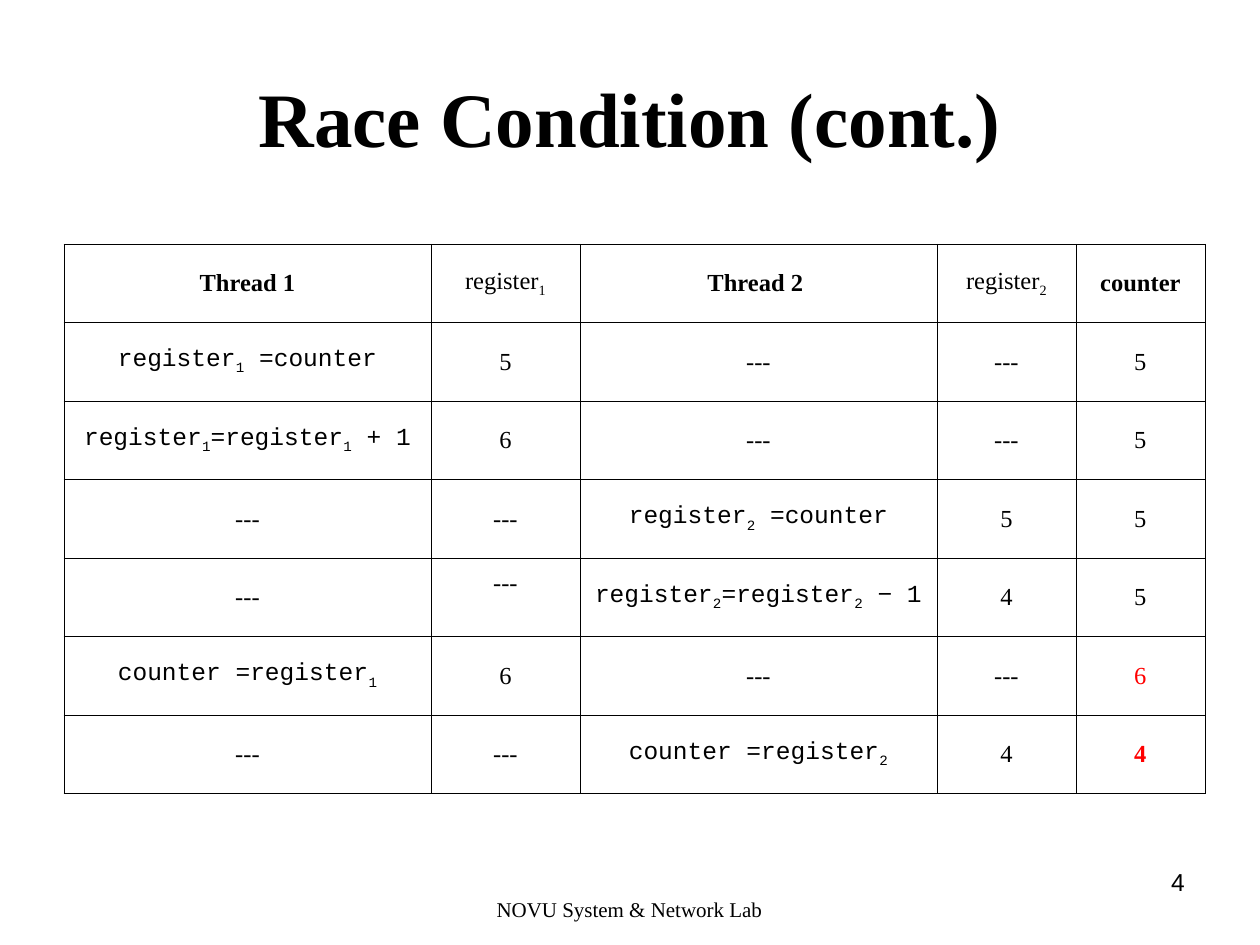
from lxml import etree
from pptx import Presentation, util as u
from pptx.dml.color import RGBColor
from pptx.enum import text as t
from pptx.oxml import ns

COLORS = {"black": "000000", "red": "FF0000"}
SERIF, MONO, SANS = "Times New Roman", "Courier New", "Arial"
EMU_PER_PX = 914400 / 126


def px(length):
    return u.Emu(round(length * EMU_PER_PX))


def write(frame, content, size, font=SERIF, bold=False, color="black",
          align=t.PP_ALIGN.CENTER, anchor=t.MSO_ANCHOR.MIDDLE):
    """Fill a text frame; the character after each underscore is a subscript."""
    frame.word_wrap = True
    frame.vertical_anchor = anchor
    para = frame.paragraphs[0]
    para.alignment = align
    first, *others = content.split("_")
    pieces = [(first, False)]
    for other in others:
        pieces += [(other[0], True), (other[1:], False)]
    for piece, subscript in pieces:
        if not piece:
            continue
        span = para.add_run()
        span.text = piece
        span.font.size = u.Pt(size)
        span.font.name = font
        span.font.bold = bold
        span.font.color.rgb = RGBColor.from_string(COLORS[color])
        if subscript:
            span._r.get_or_add_rPr().set("baseline", "-25000")


deck = Presentation()
deck.slide_width, deck.slide_height = px(1260), px(945)
page = deck.slides.add_slide(deck.slide_layouts[6])

# Footer, title and page number
top = t.MSO_ANCHOR.TOP
box = page.shapes.add_textbox(px(362), px(890), px(535), px(30))
write(box.text_frame, "NOVU System & Network Lab", 12, anchor=top)

box = page.shapes.add_textbox(px(63), px(38), px(1134), px(157))
write(box.text_frame, "Race Condition (cont.)", 44, bold=True)

box = page.shapes.add_textbox(px(903), px(861), px(294), px(66))
write(box.text_frame, "4", 14, SANS, align=t.PP_ALIGN.RIGHT, anchor=top)

# Interleaving of the two threads
NONE = "---"
rows = [
    ["Thread 1", "register_1", "Thread 2 ", "register_2", "counter"],
    ["register_1 =counter", "5", NONE, NONE, "5"],
    ["register_1=register_1 + 1", "6", NONE, NONE, "5"],
    [NONE, NONE, "register_2 =counter", "5", "5"],
    [NONE, NONE, "register_2=register_2 − 1", "4", "5"],
    ["counter =register_1", "6", NONE, NONE, "6"],
    [NONE, NONE, "counter =register_2", "4", "4"],
]
column_widths = [367, 149, 357, 139, 129]
table = page.shapes.add_table(len(rows), len(column_widths), px(64), px(244),
                              px(sum(column_widths)), px(550)).table
table.first_row = table.horz_banding = False
for column, width in zip(table.columns, column_widths):
    column.width = px(width)

for r, row in enumerate(rows):
    for c, content in enumerate(row):
        cell = table.cell(r, c)
        header = r == 0
        code = not header and "register" in content
        wrong_result = c == 4 and r >= 5
        bold = (header and "_" not in content) or (wrong_result and r == 6)
        write(cell.text_frame, content, 14, MONO if code else SERIF, bold,
              "red" if wrong_result else "black")
        cell.vertical_anchor = t.MSO_ANCHOR.MIDDLE
        properties = cell._tc.get_or_add_tcPr()
        for side in ("lnL", "lnR", "lnT", "lnB"):
            line = etree.SubElement(properties, ns.qn(f"a:{side}"), w=str(u.Pt(0.34)))
            fill = etree.SubElement(line, ns.qn("a:solidFill"))
            etree.SubElement(fill, ns.qn("a:srgbClr"), val=COLORS["black"])
        cell.fill.background()

# This entry sits one text line higher than its neighbours
table.cell(4, 1).margin_bottom = px(34)

deck.save("out.pptx")
